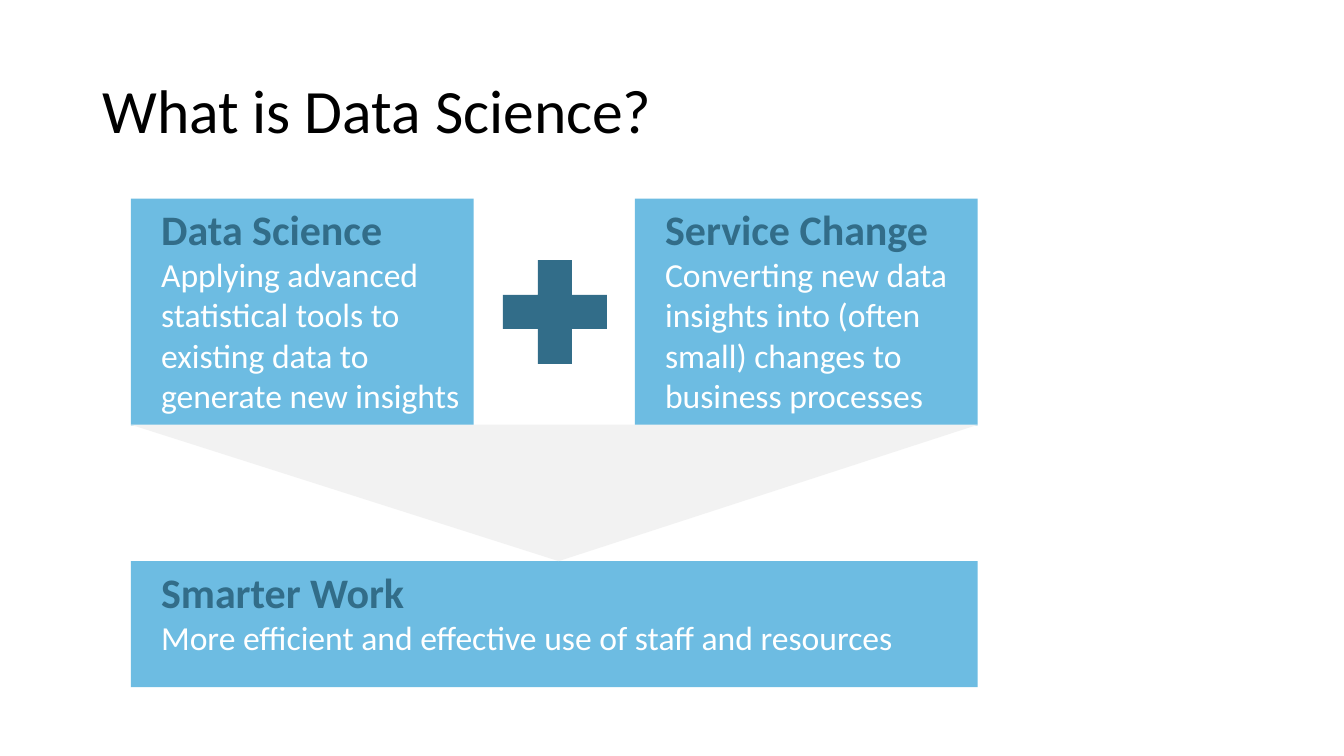
import pptx
import pptx.util
import pptx.dml.color
import pptx.enum.shapes
import pptx.enum.text

Pt = pptx.util.Pt
SHAPE = pptx.enum.shapes.MSO_SHAPE
ANCHOR = pptx.enum.text.MSO_ANCHOR
ALIGN = pptx.enum.text.PP_ALIGN


def color(value):
    return pptx.dml.color.RGBColor.from_string(value)


class Deck:
    font = "Calibri"
    black = "000000"
    white = "FFFFFF"
    sky = "6DBCE2"
    teal = "326D89"
    pale = "F2F2F2"

    def __init__(self, width, height):
        self.prs = pptx.Presentation()
        self.prs.slide_width = Pt(width)
        self.prs.slide_height = Pt(height)
        self.s = self.prs.slides.add_slide(self.prs.slide_layouts[6])

    def run(self, p, text, size, fill, bold=False):
        r = p.add_run()
        r.text = text
        r.font.name = self.font
        r.font.size = Pt(size)
        r.font.bold = bold
        r.font.color.rgb = color(fill)

    def title(self, text, x, y, w, h):
        sp = self.s.shapes.add_textbox(Pt(x), Pt(y), Pt(w), Pt(h))
        tf = sp.text_frame
        tf.word_wrap = True
        tf.vertical_anchor = ANCHOR.MIDDLE
        p = tf.paragraphs[0]
        p.line_spacing = 0.9
        self.run(p, text, 44, self.black)

    def shape(self, kind, x, y, w, h, fill, adjust=None, rotation=0):
        sp = self.s.shapes.add_shape(kind, Pt(x), Pt(y), Pt(w), Pt(h))
        sp.shadow.inherit = False
        sp.fill.solid()
        sp.fill.fore_color.rgb = color(fill)
        sp.line.fill.background()
        sp.rotation = rotation
        if adjust is not None:
            sp.adjustments[0] = adjust
        return sp

    def card(self, heading, body, x, y, w, h):
        sp = self.shape(SHAPE.RECTANGLE, x, y, w, h, self.sky)
        tf = sp.text_frame
        tf.word_wrap = True
        tf.vertical_anchor = ANCHOR.TOP
        lines = [(heading, 30, self.teal, True), (body, 24, self.white, False)]
        for i, line in enumerate(lines):
            p = tf.add_paragraph() if i else tf.paragraphs[0]
            p.alignment = ALIGN.LEFT
            p._p.get_or_add_pPr().set("marL", str(Pt(14.4)))
            self.run(p, *line)


def main():
    deck = Deck(960, 540)
    deck.title("What is Data Science?", 66, 28.8, 828, 104.4)

    left, top, width = 93.6, 141.84, 604.8
    card_w, card_h = 244.8, 162
    arrow_top, arrow_h = 303.4, 97.4
    deck.card("Data Science",
              "Applying advanced statistical tools to existing data to generate new insights",
              left, top, card_w, card_h)
    deck.card("Service Change",
              "Converting new data insights into (often small) changes to business processes",
              left + width - card_w, top, card_w, card_h)
    deck.card("Smarter Work",
              "More efficient and effective use of staff and resources",
              left, arrow_top + arrow_h, width, 90)
    deck.shape(SHAPE.CROSS, 359.28, 185.76, 74.16, 74.16, deck.teal, 0.336)
    deck.shape(SHAPE.ISOSCELES_TRIANGLE, left, arrow_top, width, arrow_h,
               deck.pale, 0.495, 180)
    deck.prs.save("out.pptx")


if __name__ == "__main__":
    main()
